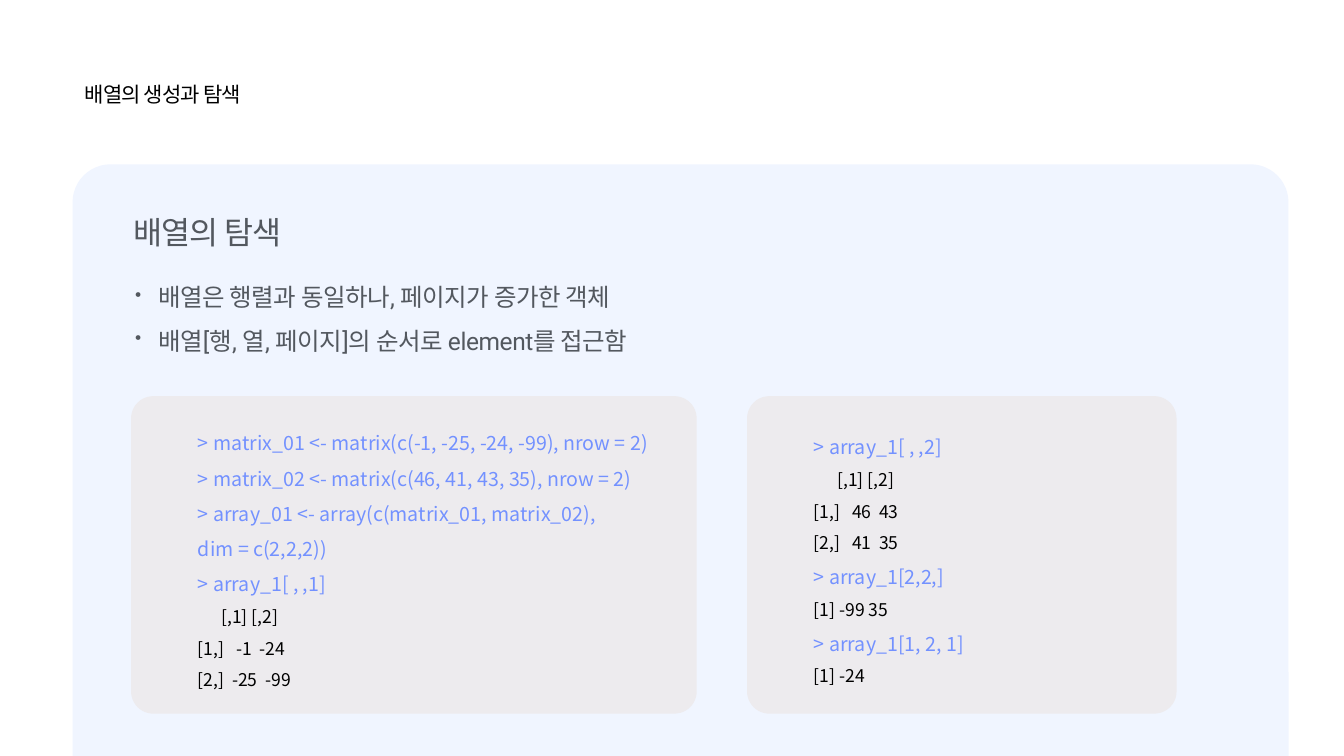
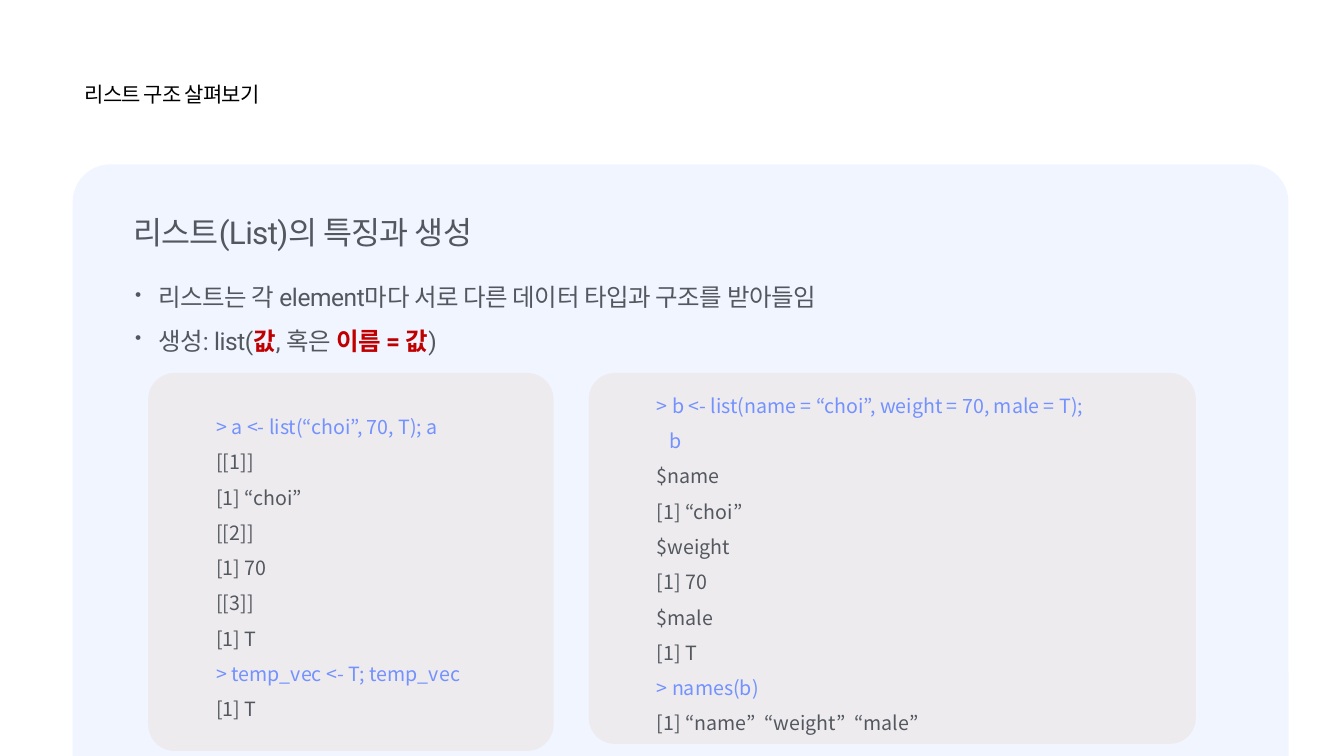
from lxml import etree
from pptx import Presentation
from pptx import util as u
from pptx.dml.color import RGBColor
from pptx.enum import shapes, text
from pptx.oxml import ns

COLORS = {
    "title": "000000",
    "body": "53585F",
    "accent": "C00000",
    "input": "7391FF",
    "panel": "F0F5FF",
    "code": "EDEBEE",
}


class Deck:
    """Holds the shared style and the slide being built."""

    heading_font = "Roboto"
    code_font = "Noto Sans CJK KR"

    def __init__(self):
        self.presentation = Presentation()
        self.presentation.slide_width = u.Inches(13.33)
        self.presentation.slide_height = u.Inches(7.5)
        self.slide = None

    def add_run(self, paragraph, words, size, color, font, spacing=0, bold=False):
        run = paragraph.add_run()
        run.text = words
        run.font.size = u.Pt(size)
        run.font.bold = bold
        run.font.name = font
        run.font.color.rgb = RGBColor.from_string(COLORS[color])
        properties = run._r.get_or_add_rPr()
        if spacing:
            properties.set("spc", str(round(spacing * 100)))
        east_asian = etree.Element(ns.qn("a:ea"), typeface=self.code_font)
        properties.find(ns.qn("a:latin")).addnext(east_asian)

    def text_box(self, left, top, width, height, inset):
        box = self.slide.shapes.add_textbox(*map(u.Inches, (left, top, width, height)))
        frame = box.text_frame
        frame.word_wrap = True
        frame.margin_left = frame.margin_right = u.Inches(inset)
        frame.margin_top = frame.margin_bottom = u.Inches(inset)
        return frame

    def rounded_box(self, left, top, width, height, color, rounding):
        shape = self.slide.shapes.add_shape(
            shapes.MSO_SHAPE.ROUNDED_RECTANGLE,
            *map(u.Inches, (left, top, width, height)),
        )
        shape.adjustments[0] = rounding
        shape.shadow.inherit = False
        shape.fill.solid()
        shape.fill.fore_color.rgb = RGBColor.from_string(COLORS[color])
        shape.line.fill.background()
        return shape

    def new_slide(self, title, heading):
        self.slide = self.presentation.slides.add_slide(self.presentation.slide_layouts[6])
        self.rounded_box(0.72, 1.63, 12.06, 6.28, "panel", 0.06)
        title_frame = self.text_box(0.83, 0.8, 3.04, 0.27, 0.01)
        self.add_run(title_frame.paragraphs[0], title, 15, "title", self.heading_font, -0.6)
        heading_frame = self.text_box(1.31, 2.1, 6.82, 0.39, 0.01)
        self.add_run(heading_frame.paragraphs[0], heading, 22.5, "body", self.heading_font, -0.5)

    def bullets(self, items):
        frame = self.text_box(1.31, 2.77, 11.54, 0.79, 0.03)
        for index, pieces in enumerate(items):
            paragraph = frame.add_paragraph() if index else frame.paragraphs[0]
            properties = paragraph._p.get_or_add_pPr()
            properties.set("marL", str(u.Inches(0.23)))
            properties.set("indent", str(-u.Inches(0.23)))
            etree.SubElement(properties, ns.qn("a:buSzPct"), val="75000")
            etree.SubElement(properties, ns.qn("a:buChar"), char="•")
            paragraph.space_after = u.Pt(10)
            for words, color in pieces:
                self.add_run(paragraph, words, 17.5, color, self.heading_font, -0.3,
                             color == "accent")

    def code_box(self, left, top, width, height, blocks, output_size, output_color):
        frame = self.rounded_box(left, top, width, height, "code", 0.07).text_frame
        frame.word_wrap = True
        frame.vertical_anchor = text.MSO_ANCHOR.MIDDLE
        lines = [(kind, line) for kind, block in blocks for line in block.split("\n")]
        for index, (kind, line) in enumerate(lines):
            paragraph = frame.add_paragraph() if index else frame.paragraphs[0]
            paragraph.alignment = text.PP_ALIGN.LEFT
            paragraph.line_spacing = 1.5
            paragraph._p.get_or_add_pPr().set("marL", str(u.Inches(0.5)))
            if kind == "input":
                self.add_run(paragraph, line, 14, "input", self.code_font)
            else:
                self.add_run(paragraph, line, output_size, output_color, self.code_font)


def build_array_slide(deck):
    deck.new_slide("배열의 생성과 탐색", "배열의 탐색")
    deck.bullets([
        [("배열은 행렬과 동일하나, 페이지가 증가한 객체", "body")],
        [("배열[행, 열, 페이지]의 순서로 element를 접근함", "body")],
    ])
    deck.code_box(1.3, 3.93, 5.61, 3.15, [
        ("input", "> matrix_01 <- matrix(c(-1, -25, -24, -99), nrow = 2)\n"
                  "> matrix_02 <- matrix(c(46, 41, 43, 35), nrow = 2)\n"
                  "> array_01 <- array(c(matrix_01, matrix_02),\n"
                  "dim = c(2,2,2))\n"
                  "> array_1[ , ,1]"),
        ("output", "      [,1] [,2]\n[1,]   -1  -24\n[2,]  -25  -99"),
    ], 12.5, "title")
    deck.code_box(7.41, 3.93, 4.26, 3.15, [
        ("input", "> array_1[ , ,2]"),
        ("output", "      [,1] [,2]\n[1,]   46  43\n[2,]   41  35"),
        ("input", "> array_1[2,2,]"),
        ("output", "[1] -99 35"),
        ("input", "> array_1[1, 2, 1]"),
        ("output", "[1] -24"),
    ], 12.5, "title")


def build_list_slide(deck):
    deck.new_slide("리스트 구조 살펴보기", "리스트(List)의 특징과 생성")
    deck.bullets([
        [("리스트는 각 element마다 서로 다른 데이터 타입과 구조를 받아들임", "body")],
        [("생성: list(", "body"), ("값", "accent"), (", 혹은 ", "body"),
         ("이름 = 값", "accent"), (")", "body")],
    ])
    deck.code_box(1.47, 3.7, 4.02, 3.75, [
        ("input", "> a <- list(“choi”, 70, T); a"),
        ("output", "[[1]]\n[1] “choi”\n[[2]]\n[1] 70\n[[3]]\n[1] T"),
        ("input", "> temp_vec <- T; temp_vec"),
        ("output", "[1] T"),
    ], 14, "body")
    deck.code_box(5.84, 3.7, 6.02, 3.68, [
        ("input", "> b <- list(name = “choi”, weight = 70, male = T);\n   b"),
        ("output", "$name\n[1] “choi”\n$weight\n[1] 70\n$male\n[1] T"),
        ("input", "> names(b)"),
        ("output", "[1] “name”  “weight”  “male”"),
    ], 14, "body")


def main():
    deck = Deck()
    build_array_slide(deck)
    build_list_slide(deck)
    deck.presentation.save("out.pptx")


if __name__ == "__main__":
    main()
